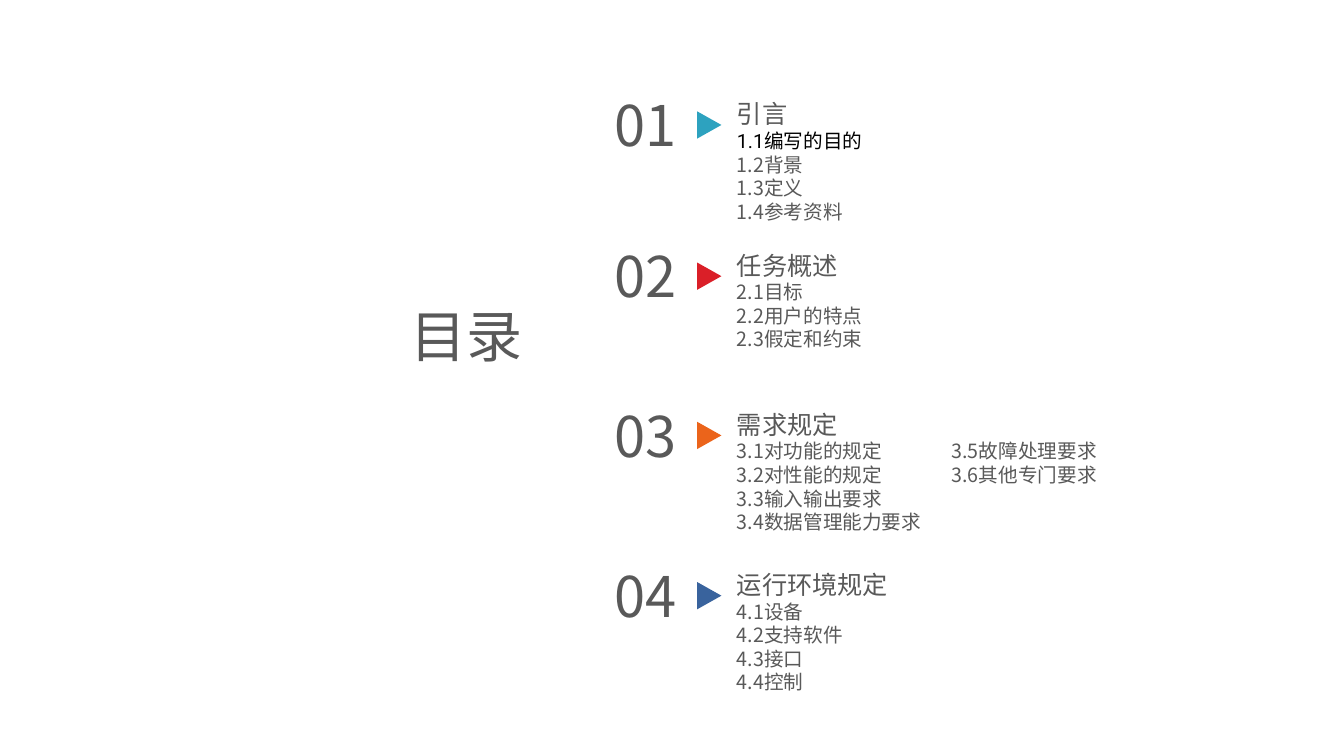
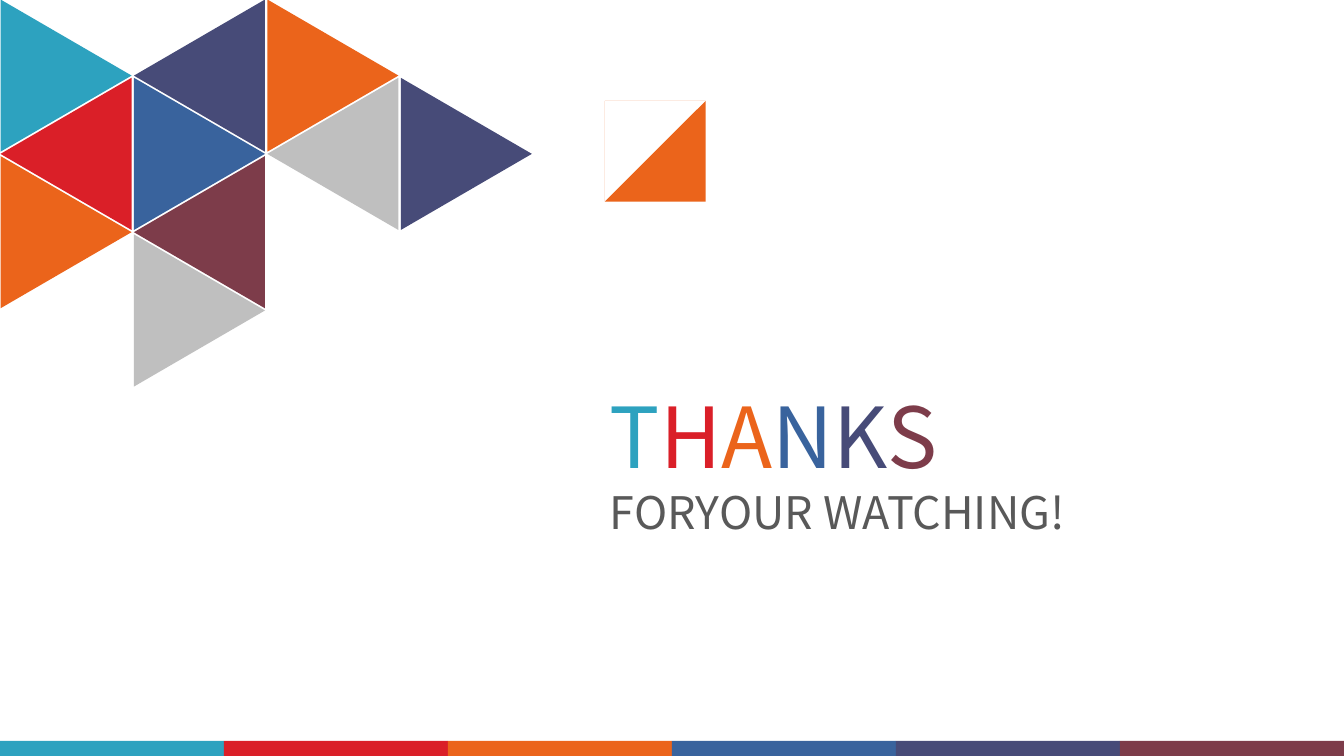
from lxml import etree
from pptx import Presentation
from pptx.dml.color import RGBColor
from pptx.enum import shapes, text
from pptx.oxml.ns import qn
from pptx.util import Inches, Pt

TEAL, RED, ORANGE = "2DA2BF", "DA1F28", "EB641B"
BLUE, INDIGO, WINE = "39639D", "474B78", "7D3C4A"
PALETTE = (TEAL, RED, ORANGE, BLUE, INDIGO, WINE)
GREY, SILVER, BLACK = "595959", "BFBFBF", "000000"
FONT = "Noto Sans CJK SC"
WIDTH, HEIGHT = 13.33, 7.5
LINE_HEIGHT = 1.2

SECTIONS = [
    (0.85, TEAL, "引言",
     ["1.1编写的目的", "1.2背景", "1.3定义", "1.4参考资料"]),
    (2.35, RED, "任务概述",
     ["2.1目标", "2.2用户的特点", "2.3假定和约束"]),
    (3.93, ORANGE, "需求规定",
     ["3.1对功能的规定\t3.5故障处理要求", "3.2对性能的规定\t3.6其他专门要求",
      "3.3输入输出要求", "3.4数据管理能力要求"]),
    (5.52, BLUE, "运行环境规定",
     ["4.1设备", "4.2支持软件", "4.3接口", "4.4控制"]),
]
HIGHLIGHT = "1.1编写的目的"

# column, row, rotation, colour
MOSAIC = [
    (0, 0, 90, TEAL), (0, 1, 270, RED), (0, 2, 90, ORANGE),
    (1, 0, 270, INDIGO), (1, 1, 90, BLUE), (1, 2, 270, WINE),
    (1, 3, 90, SILVER), (2, 0, 90, ORANGE), (2, 1, 270, SILVER),
    (3, 1, 90, INDIGO),
]

CUBE_FACES = [
    [(6.41, 1.11), (6.1, 1.3), (6.42, 1.48), (6.73, 1.3)],
    [(6.07, 1.72), (6.38, 1.9), (6.38, 1.53), (6.07, 1.35)],
    [(6.44, 1.53), (6.44, 1.9), (6.76, 1.72), (6.76, 1.35)],
]


def rgb(value):
    return RGBColor.from_string(value)


def paint(shape, colour):
    shape.shadow.inherit = False
    shape.fill.solid()
    shape.fill.fore_color.rgb = rgb(colour)
    shape.line.fill.background()


def add_block(s, kind, box, colour, rotation=0):
    shape = s.shapes.add_shape(kind, *map(Inches, box))
    shape.rotation = rotation
    paint(shape, colour)


def set_tab(p, position):
    tabs = etree.SubElement(p._p.get_or_add_pPr(), qn("a:tabLst"))
    etree.SubElement(tabs, qn("a:tab"), pos=str(Inches(position)), algn="l")


def add_run(p, words, size, colour, font=FONT):
    r = p.add_run()
    r.text = words
    r.font.color.rgb = rgb(colour)
    for name, value in {"size": Pt(size), "name": font}.items():
        setattr(r.font, name, value)
    etree.SubElement(r._r.get_or_add_rPr(), qn("a:ea"), typeface=FONT)


def write(shape, paragraphs, align=text.PP_ALIGN.LEFT):
    """Fill a text shape; each paragraph is (size, [(words, colour, font), ...])."""
    tf = shape.text_frame
    frame_format = {
        "word_wrap": True,
        "auto_size": text.MSO_AUTO_SIZE.SHAPE_TO_FIT_TEXT,
        "vertical_anchor": text.MSO_ANCHOR.TOP,
    }
    for name, value in frame_format.items():
        setattr(tf, name, value)
    for i, (size, runs) in enumerate(paragraphs):
        p = tf.add_paragraph() if i else tf.paragraphs[0]
        p.alignment = align
        p.line_spacing = Pt(size * LINE_HEIGHT)
        if any("\t" in run[0] for run in runs):
            set_tab(p, 2.13)
        for words, *style in runs:
            add_run(p, words, size, *style)


def add_text(s, box, paragraphs):
    write(s.shapes.add_textbox(*map(Inches, box)), paragraphs)


def set_title(s, box, paragraphs, align=text.PP_ALIGN.LEFT):
    title = s.shapes.title
    for name, value in zip(("left", "top", "width", "height"), box):
        setattr(title, name, Inches(value))
    write(title, paragraphs, align)


def add_section(s, number, top, colour, heading, items):
    add_block(s, shapes.MSO_SHAPE.ISOSCELES_TRIANGLE,
              (6.9, top + 0.27, 0.27, 0.24), colour, 90)
    add_text(s, (6, top, 0.9, 0.77), [(40, [(f"{number:02}", GREY)])])
    lines = [(18, [(heading, GREY)])]
    for item in items:
        style = (BLACK, "Roboto") if item == HIGHLIGHT else (GREY,)
        lines.append((14, [(item, *style)]))
    height = 0.4 + 0.24 * len(items)
    add_text(s, (7.21, top + 0.08, 4.51, height), lines)


def add_mosaic(s):
    column_step, row_step = 3.97 / 3, 2.33 / 3
    for column, row, rotation, colour in MOSAIC:
        box = (-0.1 + column * column_step, 0.1 + row * row_step, 1.51, 1.3)
        add_block(s, shapes.MSO_SHAPE.ISOSCELES_TRIANGLE, box, colour, rotation)


def add_colour_band(s):
    width = WIDTH / len(PALETTE)
    for i, colour in enumerate(PALETTE):
        add_block(s, shapes.MSO_SHAPE.RECTANGLE,
                  (i * width, HEIGHT - 0.15, width, 0.15), colour)


def add_cube(s):
    first, *others = CUBE_FACES
    builder = s.shapes.build_freeform(*first[0], scale=Inches(1))
    builder.add_line_segments(first[1:], close=True)
    for face in others:
        builder.move_to(*face[0])
        builder.add_line_segments(face[1:], close=True)
    paint(builder.convert_to_shape(), ORANGE)


def build_contents(s):
    set_title(s, (1.82, 2.94, 3.46, 0.77), [(40, [("目录", GREY)])],
              text.PP_ALIGN.RIGHT)
    for number, section in enumerate(SECTIONS, 1):
        add_section(s, number, *section)


def build_thanks(s):
    add_mosaic(s)
    add_colour_band(s)
    set_title(s, (5.95, 3.76, 5.73, 1.65),
              [(60, list(zip("THANKS", PALETTE))),
               (32, [("FORYOUR WATCHING!", GREY)])])
    add_cube(s)


def main():
    prs = Presentation()
    prs.slide_width, prs.slide_height = Inches(WIDTH), Inches(HEIGHT)
    title_only = prs.slide_layouts[5]
    for build in (build_contents, build_thanks):
        build(prs.slides.add_slide(title_only))
    prs.save("out.pptx")


if __name__ == "__main__":
    main()
